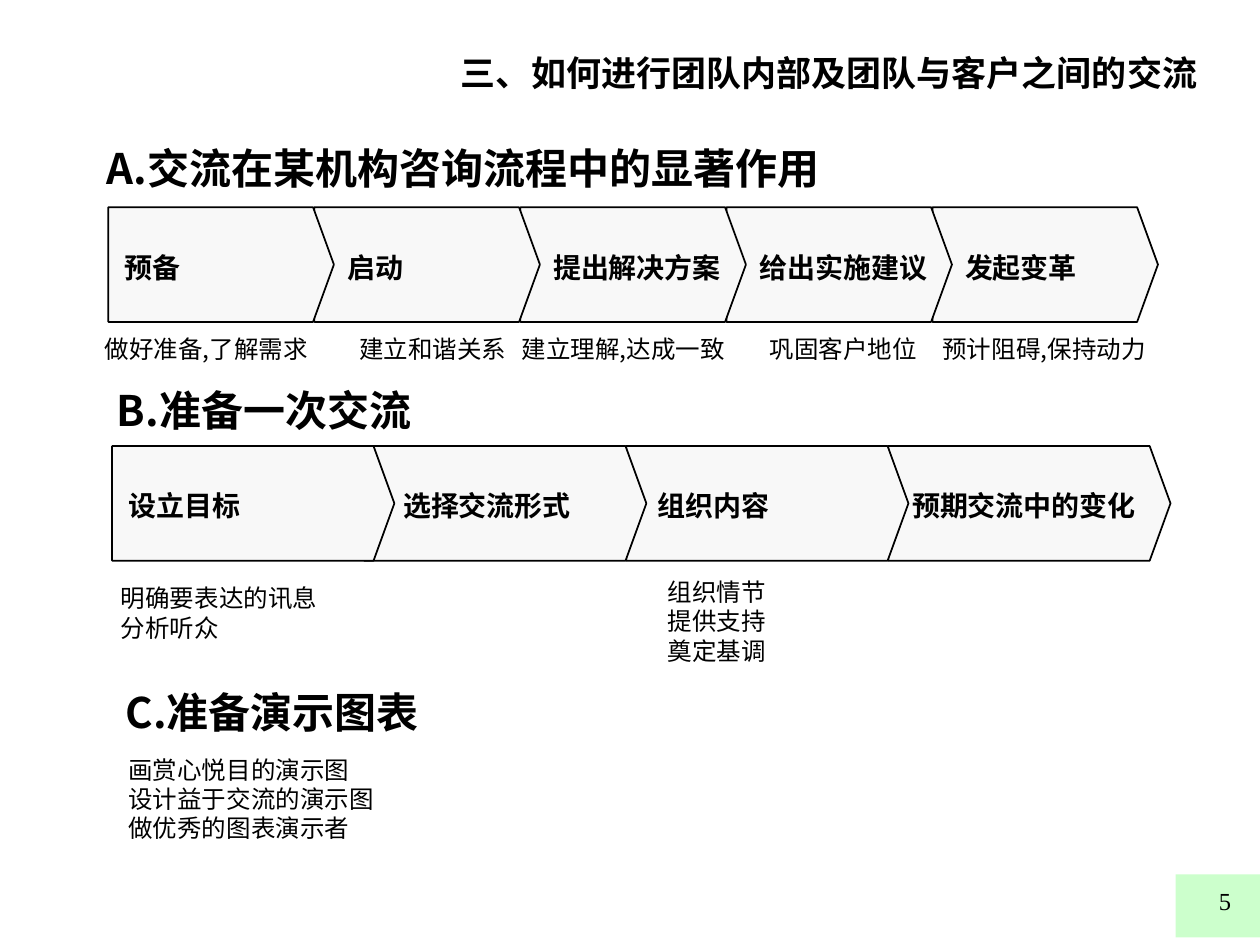
from dataclasses import dataclass

from lxml.etree import SubElement
from pptx import Presentation
from pptx.dml.color import RGBColor
from pptx.enum.shapes import MSO_SHAPE
from pptx.enum.text import MSO_AUTO_SIZE, PP_ALIGN
from pptx.oxml.ns import qn
from pptx.util import Emu, Inches, Pt

COLORS = {"text": "000000", "step": "F8F8F8", "corner": "CCFFCC"}
SANS, SERIF = "Noto Sans CJK SC", "Times New Roman"
COLUMNS, ROWS = 100, 75
LINE_HEIGHT = 1.2
WIDTH_SLACK = 2
STEP_ROWS, LABEL_DROP, POINT_COLUMNS = 9.1, 3.4, 1.65

prs = Presentation()
prs.slide_width, prs.slide_height = Inches(10), Inches(7.5)
s = prs.slides.add_slide(prs.slide_layouts[6])


@dataclass
class Text:
    text: str
    col: float
    row: float
    size: float = 14
    width: float = 0
    height: float = 0
    bold: bool = False
    font: str = SANS
    align: PP_ALIGN = PP_ALIGN.LEFT


@dataclass
class Step:
    label: str
    col: float
    label_col: float


@dataclass
class Process:
    row: float
    step_width: float
    steps: list[Step]


def x(cols: float) -> Emu:
    return Emu(round(prs.slide_width * cols / COLUMNS))


def y(rows: float) -> Emu:
    return Emu(round(prs.slide_height * rows / ROWS))


def rgb(name: str) -> RGBColor:
    return RGBColor.from_string(COLORS[name])


def add_text(item: Text) -> None:
    """Draw a padded, wrapping box if a width is given, else one fitted to its lines."""
    lines = item.text.split("\n")
    width, height = x(item.width), y(item.height)
    if not item.width:
        width = Pt(item.size * max(map(len, lines)) + WIDTH_SLACK)
        height = Pt(item.size * LINE_HEIGHT * len(lines))
    tf = s.shapes.add_textbox(x(item.col), y(item.row), width, height).text_frame
    tf.word_wrap = bool(item.width)
    if not item.width:
        tf.auto_size = MSO_AUTO_SIZE.SHAPE_TO_FIT_TEXT
        tf.margin_left = tf.margin_right = tf.margin_top = tf.margin_bottom = 0
    p = tf.paragraphs[0]
    p.alignment = item.align
    p.line_spacing = Pt(item.size * LINE_HEIGHT)
    for i, line in enumerate(lines):
        if i:
            p.add_line_break()
        r = p.add_run()
        r.text = line
        r.font.name, r.font.size, r.font.bold = item.font, Pt(item.size), item.bold
        r.font.color.rgb = rgb("text")
        SubElement(r._r.get_or_add_rPr(), qn("a:ea"), typeface=item.font)


def add_panel(kind: MSO_SHAPE, col: float, row: float, width: float, height: float,
              fill: str, outlined: bool = False):
    sp = s.shapes.add_shape(kind, x(col), y(row), x(width), y(height))
    sp.shadow.inherit = False
    sp.fill.solid()
    sp.fill.fore_color.rgb = rgb(fill)
    if outlined:
        sp.line.color.rgb = rgb("text")
        sp.line.width = Pt(1)
    else:
        sp.line.fill.background()
    return sp


def add_process(process: Process) -> None:
    """Draw from right to left, so that each point overlaps the next step."""
    for step in reversed(process.steps):
        sp = add_panel(MSO_SHAPE.PENTAGON, step.col, process.row,
                       process.step_width, STEP_ROWS, "step", outlined=True)
        sp.adjustments[0] = POINT_COLUMNS / STEP_ROWS
        add_text(Text(step.label, step.label_col, process.row + LABEL_DROP, 16, bold=True))


PROCESSES = [
    Process(16.45, 17.9, [
        Step(label, 8.6 + 16.35 * i, label_col) for i, (label, label_col) in enumerate([
            ("预备", 9.9), ("启动", 27.6), ("提出解决方案", 43.9),
            ("给出实施建议", 60.3), ("发起变革", 76.6)])]),
    Process(35.4, 22.4, [
        Step("设立目标", 8.9, 10.2), Step("选择交流形式", 28.9, 32),
        Step("组织内容", 49.7, 52.2), Step("预期交流中的变化", 70.5, 72.4)]),
]

CAPTIONS = [("做好准备,了解需求", 8.3), ("建立和谐关系", 28.5), ("建立理解,达成一致", 41.4),
            ("巩固客户地位", 61.1), ("预计阻碍,保持动力", 74.8)]

TEXTS = [
    Text("三、如何进行团队内部及团队与客户之间的交流", 35.6, 3.6, 20, 62.2, 4.4, bold=True),
    *(Text(text, col, 26.5) for text, col in CAPTIONS),
    Text("明确要表达的讯息\n分析听众", 9.6, 46.3),
    Text("组织情节\n提供支持\n奠定基调", 53, 45.8),
    Text("A.交流在某机构咨询流程中的显著作用", 7.5, 10.8, 24, 60, 5, bold=True),
    Text("B.准备一次交流", 8.3, 30, 24, 60, 5, bold=True),
    Text("C.准备演示图表", 9, 54, 24, 30, 5, bold=True),
    Text("画赏心悦目的演示图\n设计益于交流的演示图\n做优秀的图表演示者", 9.2, 59.4, 14, 23.1, 8),
    Text("5", 77.9, 69.8, 14, 20.8, 5, font=SERIF, align=PP_ALIGN.RIGHT),
]

add_panel(MSO_SHAPE.RECTANGLE, 93.3, 69.4, 6.7, 5, "corner")
for process in PROCESSES:
    add_process(process)
for item in TEXTS:
    add_text(item)

prs.save("out.pptx")
